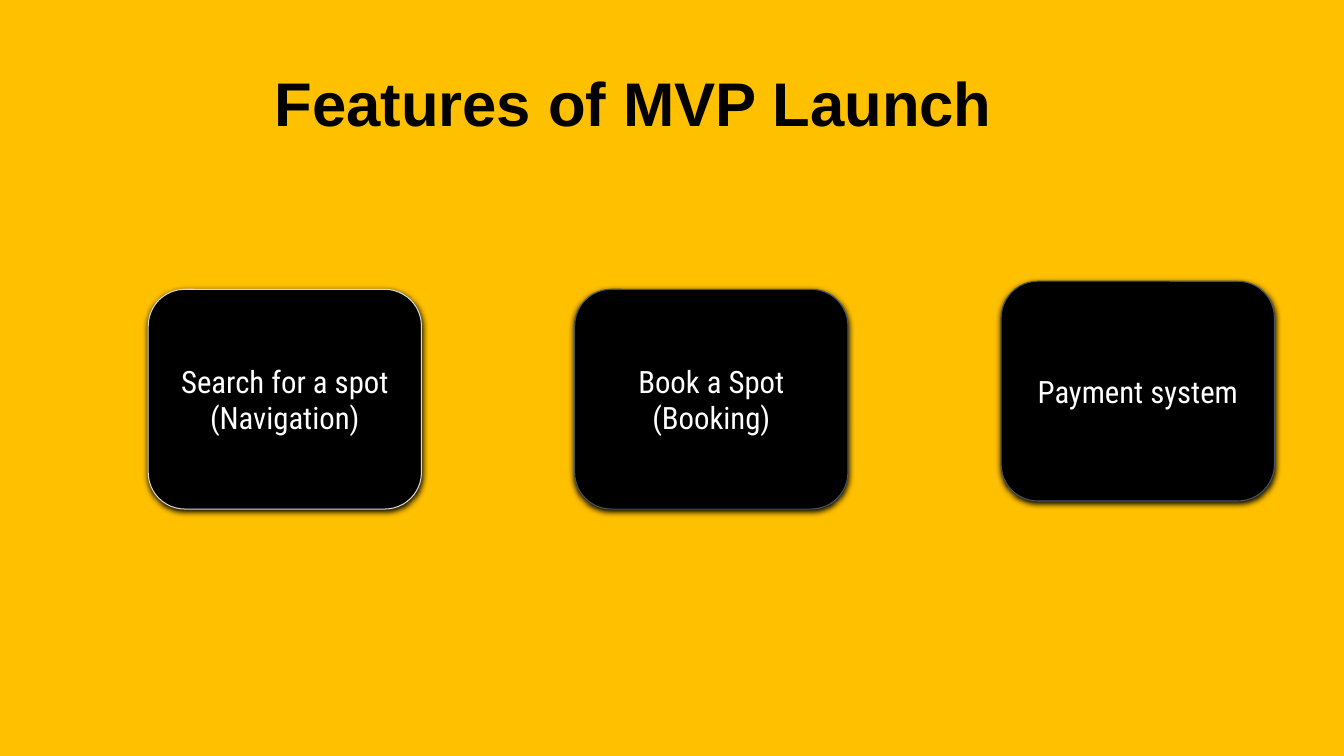
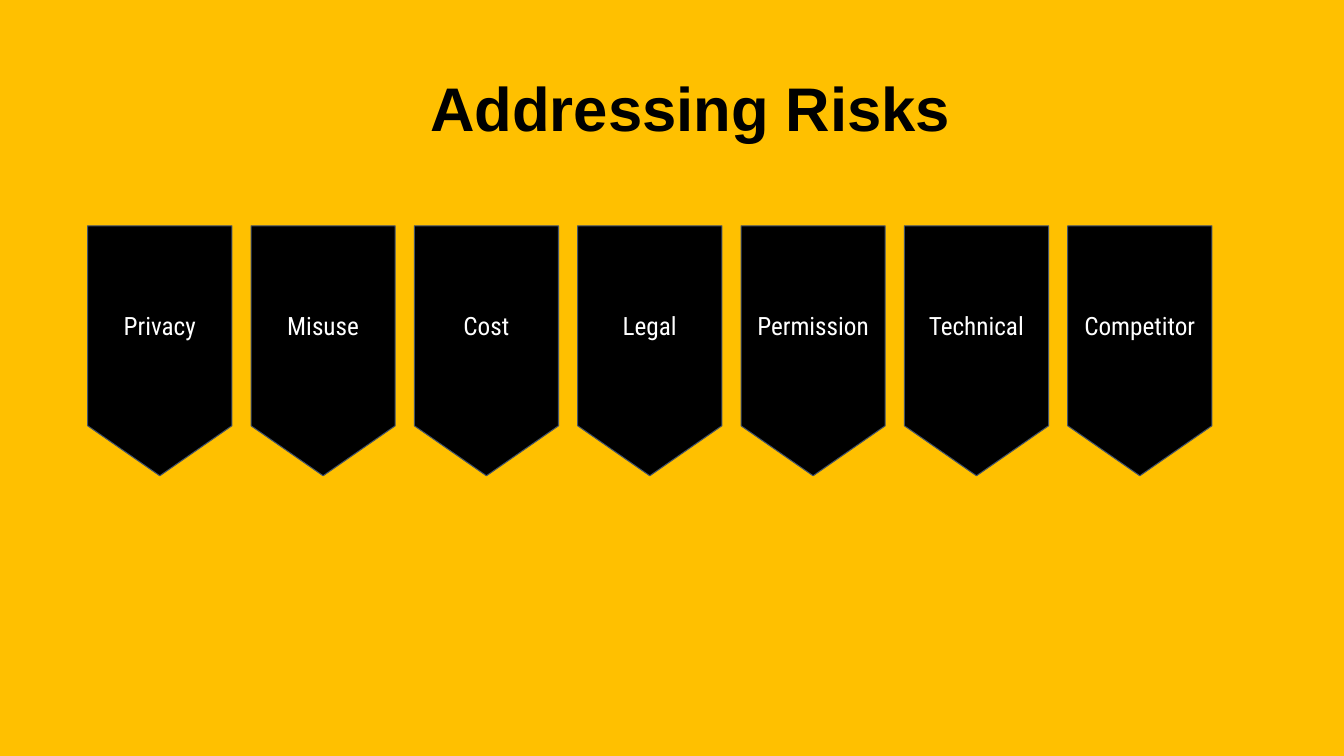
import pptx
import pptx.dml.color
import pptx.enum.shapes
import pptx.enum.text
import pptx.oxml
import pptx.oxml.ns
import pptx.util

Inches = pptx.util.Inches
Pt = pptx.util.Pt
RGBColor = pptx.dml.color.RGBColor
MSO_SHAPE = pptx.enum.shapes.MSO_SHAPE

AMBER = RGBColor(0xFF, 0xC0, 0x00)
BLACK = RGBColor(0x00, 0x00, 0x00)
WHITE = RGBColor(0xFF, 0xFF, 0xFF)
SLATE = RGBColor(0x44, 0x54, 0x6A)
SILVER = RGBColor(0xD9, 0xD9, 0xD9)

SHADOW_XML = (
    f'<a:outerShdw {pptx.oxml.ns.nsdecls("a")} blurRad="{Pt(4.5)}" '
    f'dist="{Pt(1.5)}" dir="5400000" algn="t" rotWithShape="0">'
    '<a:srgbClr val="000000"/></a:outerShdw>'
)


def write(tf, text, *, font, size, color, bold=False, spacing=1.0, pad=0.1):
    """Fill a frame with centred text, one paragraph per line."""
    tf.word_wrap = True
    tf.vertical_anchor = pptx.enum.text.MSO_ANCHOR.MIDDLE
    tf.margin_left = tf.margin_right = Inches(0.1)
    tf.margin_top = tf.margin_bottom = Inches(pad)
    for i, line in enumerate(text.split("\n")):
        p = tf.add_paragraph() if i else tf.paragraphs[0]
        p.alignment = pptx.enum.text.PP_ALIGN.CENTER
        p.line_spacing = spacing
        r = p.add_run()
        r.text = line
        r.font.name = font
        r.font.size = Pt(size)
        r.font.bold = bold
        r.font.color.rgb = color


class Deck:
    """Holds the shared style and the current slide."""

    title_font = "Arial"
    body_font = "Roboto Condensed"

    def __init__(self):
        self.prs = pptx.Presentation()
        self.prs.slide_width = Inches(13.33)
        self.prs.slide_height = Inches(7.5)
        self.s = None

    def slide(self):
        self.s = self.prs.slides.add_slide(self.prs.slide_layouts[6])
        fill = self.s.background.fill
        fill.solid()
        fill.fore_color.rgb = AMBER

    def title(self, text, x, y, w, h=1.45):
        box = self.s.shapes.add_textbox(*map(Inches, (x, y, w, h)))
        write(box.text_frame, text, font=self.title_font, size=44,
              color=BLACK, bold=True, spacing=0.9, pad=0.05)

    def block(self, kind, text, x, y, w, h, size, line=SLATE, shadow=False):
        sp = self.s.shapes.add_shape(kind, *map(Inches, (x, y, w, h)))
        sp.fill.solid()
        sp.fill.fore_color.rgb = BLACK
        sp.line.color.rgb = line
        sp.line.width = Pt(0.75)
        sp.shadow.inherit = False
        if shadow:
            effects = sp._element.spPr.find(pptx.oxml.ns.qn("a:effectLst"))
            effects.append(pptx.oxml.parse_xml(SHADOW_XML))
        write(sp.text_frame, text, font=self.body_font, size=size, color=WHITE)

    def feature(self, text, x, y, line):
        self.block(MSO_SHAPE.FLOWCHART_ALTERNATE_PROCESS, text,
                   x, y, 2.71, 2.18, 22, line, shadow=True)

    def risk(self, text, x):
        self.block(MSO_SHAPE.FLOWCHART_OFFPAGE_CONNECTOR, text,
                   x, 2.24, 1.43, 2.48, 18)


def features_slide(deck):
    deck.slide()
    deck.title("Features of MVP Launch", 0.28, 0.33, 12.01)
    features = [
        ("Search for a spot\n(Navigation)", 2.87, SILVER),
        ("Book a Spot\n(Booking)", 2.87, SLATE),
        ("Payment system", 2.79, SLATE),
    ]
    for i, (text, y, line) in enumerate(features):
        deck.feature(text, 1.47 + 4.23 * i, y, line)


def risks_slide(deck):
    deck.slide()
    deck.title("Addressing Risks", 1.1, 0.38, 11.5)
    risks = ["Privacy", "Misuse", "Cost", "Legal", "Permission", "Technical",
             "Competitor"]
    for i, text in enumerate(risks):
        deck.risk(text, 0.87 + 1.62 * i)


def main():
    deck = Deck()
    features_slide(deck)
    risks_slide(deck)
    deck.prs.save("out.pptx")


if __name__ == "__main__":
    main()
